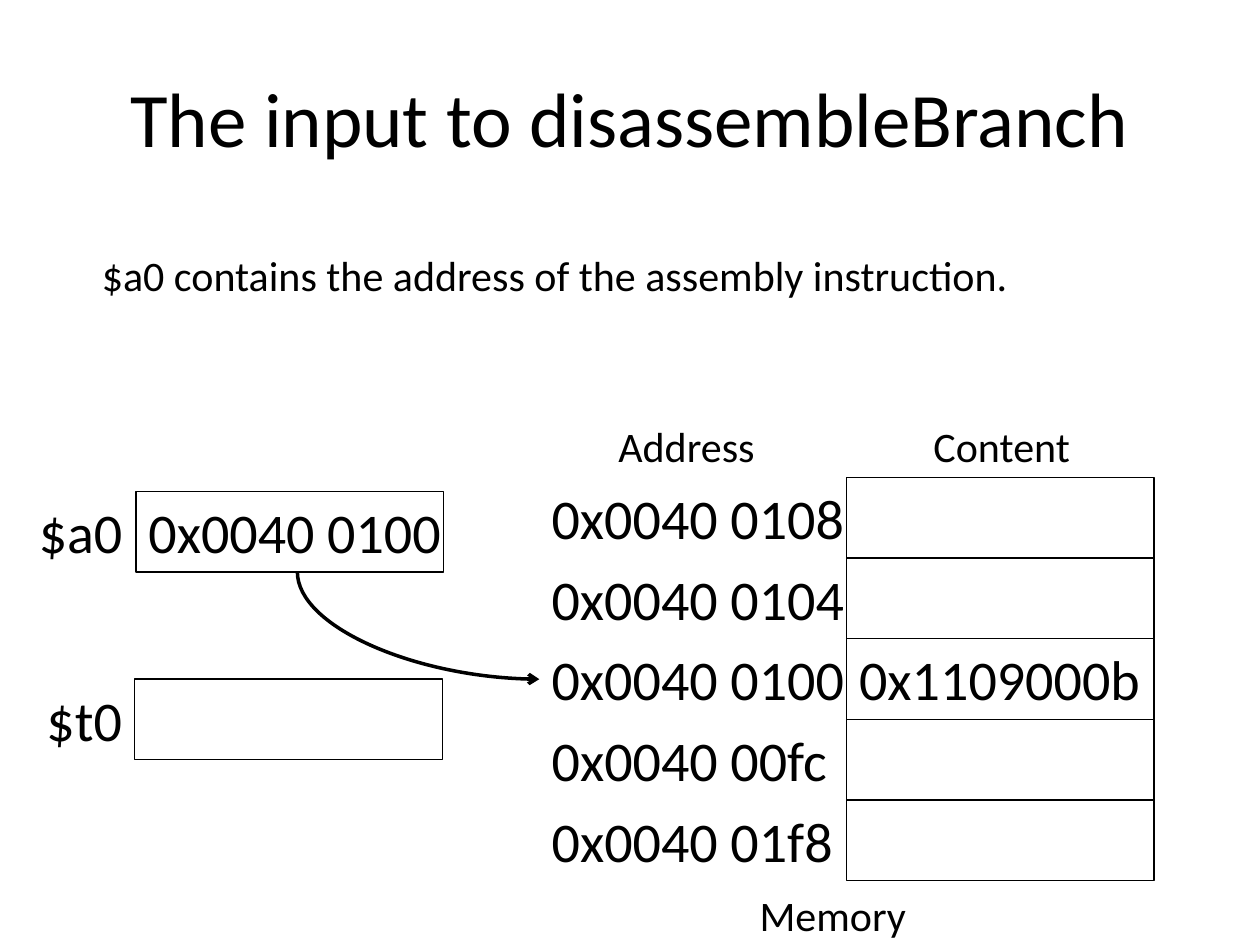
from lxml.etree import SubElement
from pptx import Presentation
from pptx.dml.color import RGBColor
from pptx.enum.shapes import MSO_CONNECTOR, MSO_SHAPE
from pptx.enum.text import MSO_ANCHOR, MSO_AUTO_SIZE, PP_ALIGN
from pptx.oxml.ns import qn
from pptx.util import Inches, Pt

BLACK = "000000"
FONT = "Calibri"
CELL_WIDTH, CELL_HEIGHT = 2.44, 0.64
MEMORY_LEFT, MEMORY_TOP = 6.72, 3.79
ADDRESS_LEFT = 4.28
ADDRESSES = [
    ("0x0040 0108", 2.54),
    ("0x0040 0104", 2.54),
    ("0x0040 0100", 2.54),
    ("0x0040 00fc", 2.42),
    ("0x0040 01f8", 2.45),
]


def color(value):
    """Turn a hex string into a colour."""
    return RGBColor.from_string(value)


def write(frame, text, size=32, align=PP_ALIGN.LEFT, fill=BLACK):
    """Put one formatted paragraph into a text frame."""
    para = frame.paragraphs[0]
    para.alignment = align
    span = para.add_run()
    span.text = text
    span.font.name = FONT
    span.font.size = Pt(size)
    span.font.color.rgb = color(fill)


def add_title(page, text):
    """Fill and place the title placeholder."""
    title = page.shapes.title
    title.left, title.top = Inches(0.5), Inches(0.3)
    title.width, title.height = Inches(9), Inches(1.25)
    title.text_frame.vertical_anchor = MSO_ANCHOR.MIDDLE
    write(title.text_frame, text, size=44, align=PP_ALIGN.CENTER)


def add_label(shapes, text, left, top, width, height=CELL_HEIGHT, size=32):
    """Add a single-line text box."""
    box = shapes.add_textbox(Inches(left), Inches(top), Inches(width), Inches(height))
    box.text_frame.word_wrap = False
    box.text_frame.auto_size = MSO_AUTO_SIZE.SHAPE_TO_FIT_TEXT
    write(box.text_frame, text, size=size)


def add_caption(shapes, text, left, top, width):
    """Add a smaller text box."""
    add_label(shapes, text, left, top, width, height=0.5, size=24)


def add_cell(shapes, left, top):
    """Add an outlined register or memory cell."""
    cell = shapes.add_shape(MSO_SHAPE.RECTANGLE, Inches(left), Inches(top),
                            Inches(CELL_WIDTH), Inches(CELL_HEIGHT))
    cell.shadow.inherit = False
    cell.fill.background()
    cell.line.color.rgb = color(BLACK)
    cell.line.width = Pt(0.75)


def add_pointer(page, left, top, right, bottom):
    """Add a curved arrow that leaves downward and arrives rightward."""
    middle_x, middle_y = (left + right) / 2, (top + bottom) / 2
    half_width, half_height = (bottom - top) / 2, (right - left) / 2
    pointer = page.shapes.add_connector(
        MSO_CONNECTOR.CURVE,
        Inches(middle_x + half_width), Inches(middle_y - half_height),
        Inches(middle_x - half_width), Inches(middle_y + half_height))
    pointer.line.color.rgb = color(BLACK)
    pointer.line.width = Pt(2)
    properties = pointer._element.spPr
    properties.find(qn("a:xfrm")).set("rot", str(270 * 60000))
    properties.find(qn("a:prstGeom")).set("prst", "curvedConnector2")
    SubElement(properties.find(qn("a:ln")), qn("a:tailEnd"), type="arrow")
    SubElement(properties, qn("a:effectLst"))


def add_register(page, name, name_left, name_width, left, top):
    """Add a register cell with its name on the left."""
    add_cell(page.shapes, left, top)
    add_label(page.shapes, name, name_left, top, name_width)


def add_memory(page):
    """Add the memory cells, their addresses and the headings."""
    cells = page.shapes.add_group_shape().shapes
    addresses = page.shapes.add_group_shape().shapes
    for row, (address, width) in enumerate(ADDRESSES):
        top = MEMORY_TOP + row * CELL_HEIGHT
        add_cell(cells, MEMORY_LEFT, top)
        add_label(addresses, address, ADDRESS_LEFT, top, width)
    add_caption(addresses, "Address", 4.81, 3.29, 1.3)
    add_caption(page.shapes, "Content", 7.31, 3.29, 1.31)
    add_caption(page.shapes, "Memory", 5.93, 7.01, 1.38)
    add_label(page.shapes, "0x1109000b", MEMORY_LEFT, MEMORY_TOP + 2 * CELL_HEIGHT, 2.45)


def main():
    """Build the slide and save the deck."""
    deck = Presentation()
    deck.slide_width, deck.slide_height = Inches(10), Inches(7.5)
    page = deck.slides.add_slide(deck.slide_layouts[5])
    add_title(page, "The input to disassembleBranch")
    add_caption(page.shapes, "$a0 contains the address of the assembly instruction.",
                0.71, 1.93, 7.48)
    add_memory(page)
    add_register(page, "$t0", 0.27, 0.81, 1.07, 5.39)
    add_register(page, "$a0", 0.21, 0.87, 1.08, 3.9)
    add_label(page.shapes, "0x0040 0100", 1.08, 3.9, 2.54)
    add_pointer(page, 2.36, 4.54, ADDRESS_LEFT, 5.39)
    deck.save("out.pptx")


if __name__ == "__main__":
    main()
